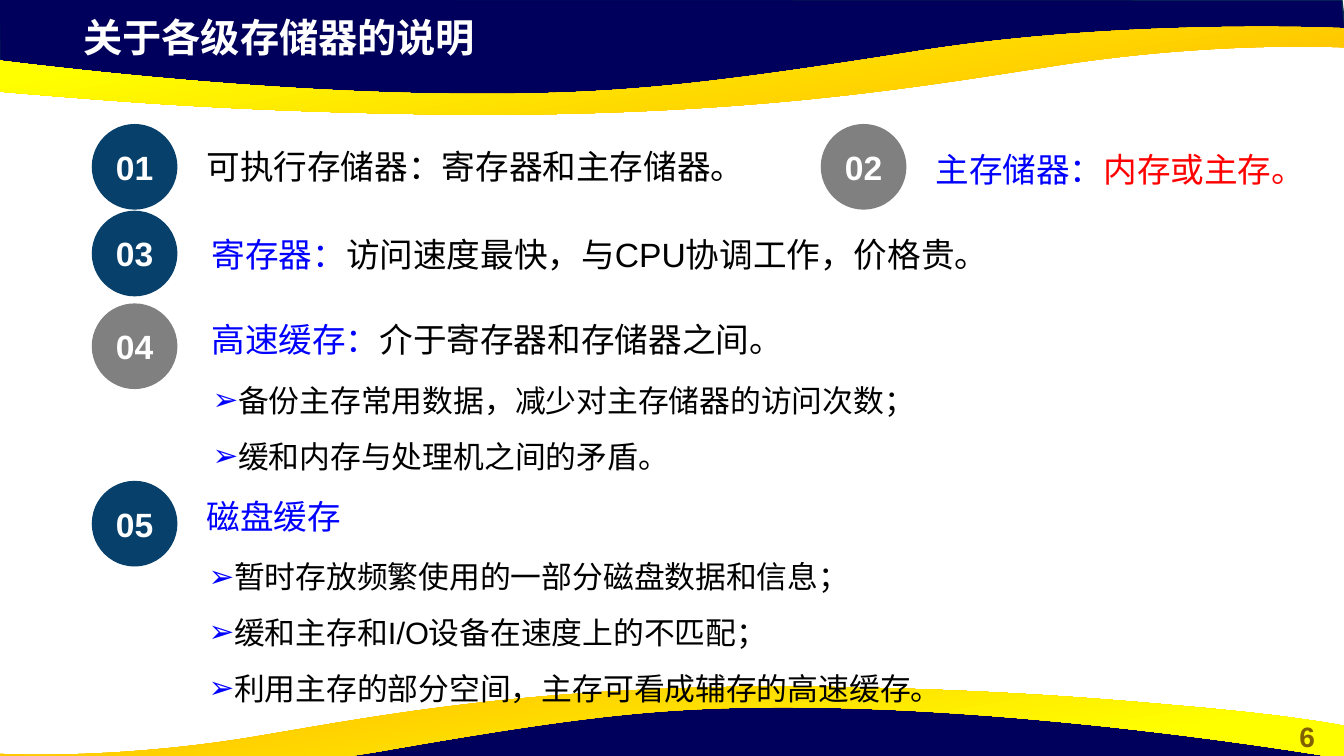
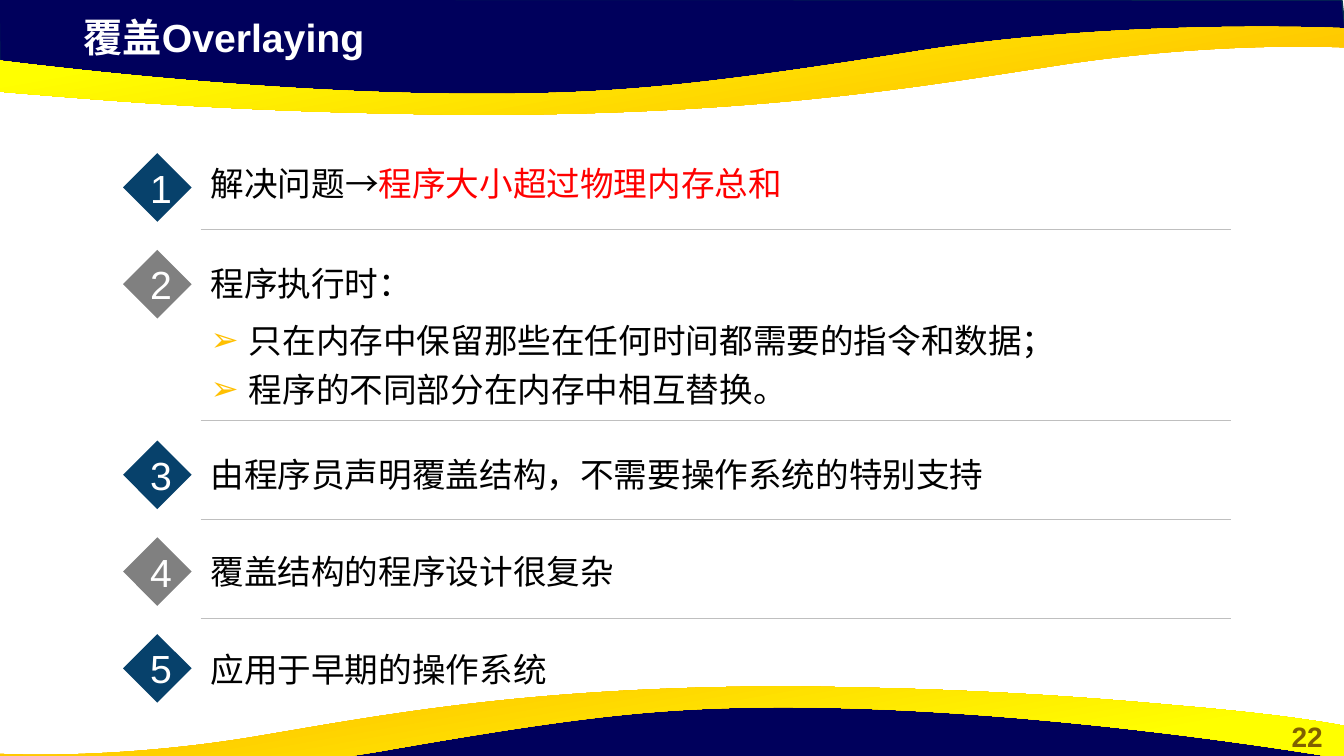
from dataclasses import dataclass

from lxml import etree
from pptx import Presentation
from pptx.dml.color import RGBColor as Rgb
from pptx.enum.shapes import MSO_CONNECTOR as Connector, MSO_SHAPE as Shape
from pptx.enum.text import MSO_ANCHOR as Anchor, MSO_AUTO_SIZE as AutoSize, PP_ALIGN as Align
from pptx.oxml.ns import qn
from pptx.util import Inches, Pt


@dataclass(frozen=True)
class Theme:
    font: str = "Arial"
    navy: str = "00005C"
    edge: str = "05304F"
    gold: str = "FFC000"
    yellow: str = "FFFF00"
    page_number: str = "806000"
    badge_dark: str = "07416B"
    badge_gray: str = "808080"
    rule: str = "BFBFBF"
    black: str = "000000"
    white: str = "FFFFFF"
    blue: str = "0000FF"
    red: str = "FF0000"
    title_size: int = 28
    body_size: int = 24
    detail_size: int = 22
    page_size: int = 20


THEME = Theme()

# Outlines in inches: a start point, then lines (2 values) and curves (6 values).
NAVY_BAND = [
    (-0.01, -0.01), (0, 0.7), (2.93, 1.02), (5.59, 1), (7.95, 0.88),
    (10.16, 0.5), (12.38, 0.33), (13.35, 0.38), (13.31, 0), (-0.01, -0.01),
]
GOLD_RIBBON = [
    (4.83, 1.14),
    (4.43, 1.14, 4.01, 1.13, 3.56, 1.12),
    (2.06, 1.08, 1.1, 1, 0.36, 0.94),
    (-0.88, 0.84, -1.3, 0.75, -1.33, 0.75),
    (-1.33, 0.42, -1.33, 0.42, -1.33, 0.42),
    (-1.33, 0.42, 2.18, 0.98, 5.17, 0.93),
    (6.26, 0.91, 7.08, 0.83, 9.15, 0.5),
    (11.21, 0.18, 13.33, 0.28, 13.33, 0.28),
    (13.33, 0.32), (13.33, 0.47), (13.3, 0.47),
    (13.05, 0.46, 11.95, 0.43, 10.55, 0.64),
    (9.18, 0.85, 7.62, 1.13, 4.83, 1.14),
]


def color(value):
    return Rgb.from_string(value)


def half_turn(outline, right, bottom, stretch=1):
    return [
        tuple(bottom - value if index % 2 else right - stretch * value
              for index, value in enumerate(segment))
        for segment in outline
    ]


def bend(shape, outline):
    """Turn the straight segments that stand for curves into cubic curves."""
    lines = list(shape._element.iter(qn("a:lnTo")))
    for line, segment in zip(lines, outline[1:]):
        if len(segment) == 2:
            continue
        curve = etree.Element(qn("a:cubicBezTo"))
        for x, y in zip(segment[::2], segment[1::2]):
            etree.SubElement(curve, qn("a:pt"), x=str(Inches(x) - shape.left),
                             y=str(Inches(y) - shape.top))
        line.getparent().replace(line, curve)


def add_outline(page, outline):
    start, *rest = [tuple(map(Inches, segment[-2:])) for segment in outline]
    builder = page.shapes.build_freeform(*start)
    builder.add_line_segments(rest, close=True)
    shape = builder.convert_to_shape()
    bend(shape, outline)
    shape.shadow.inherit = False
    return shape


def add_band(page, outline):
    band = add_outline(page, outline)
    band.fill.solid()
    band.fill.fore_color.rgb = color(THEME.navy)
    band.line.color.rgb = color(THEME.edge)
    band.line.width = Pt(1)


def add_ribbon(page, outline, angle):
    ribbon = add_outline(page, outline)
    ribbon.line.fill.background()
    ribbon.fill.gradient()
    ribbon.fill.gradient_angle = angle
    stops = ((0.11, THEME.gold), (0.78, THEME.yellow))
    for stop, (position, value) in zip(ribbon.fill.gradient_stops, stops):
        stop.position = position
        stop.color.rgb = color(value)


def add_spans(para, spans, size, bold=False):
    for text, value in spans:
        span = para.add_run()
        span.text = text
        formats = {"name": THEME.font, "size": Pt(size), "bold": bold}
        for name, setting in formats.items():
            setattr(span.font, name, setting)
        span.font.color.rgb = color(value)


def add_bullet(para, left, hanging, value):
    properties = para._p.get_or_add_pPr()
    properties.set("marL", str(Inches(left)))
    properties.set("indent", str(-Inches(hanging)))
    bullet_color = etree.SubElement(properties, qn("a:buClr"))
    etree.SubElement(bullet_color, qn("a:srgbClr"), val=value)
    etree.SubElement(properties, qn("a:buFont"), typeface=THEME.font)
    etree.SubElement(properties, qn("a:buChar"), char="➢")


def add_box(page, place, anchor=Anchor.TOP):
    box = page.shapes.add_textbox(*map(Inches, place))
    box.text_frame.word_wrap = True
    box.text_frame.vertical_anchor = anchor
    return box.text_frame


def add_text(page, place, spans, size=THEME.body_size, bold=False,
             anchor=Anchor.TOP, **para_formats):
    frame = add_box(page, place, anchor)
    para = frame.paragraphs[0]
    for name, setting in para_formats.items():
        setattr(para, name, setting)
    add_spans(para, spans, size, bold)
    return frame


def add_bullets(page, place, lines, size, bullet, spacing, gap=0, anchor=Anchor.TOP):
    """Add a bulleted list; bullet is (left indent, hanging, colour)."""
    frame = add_box(page, place, anchor)
    for index, line in enumerate(lines):
        para = frame.add_paragraph() if index else frame.paragraphs[0]
        add_bullet(para, *bullet)
        para.line_spacing = spacing
        if index and gap:
            para.space_before = Pt(gap)
        add_spans(para, [(line, THEME.black)], size)


def add_badge(page, kind, left, top, side, number, label, size, bold):
    """Add a numbered badge, dark for odd numbers and gray for even ones."""
    badge = page.shapes.add_shape(kind, *map(Inches, (left, top, side, side)))
    badge.shadow.inherit = False
    badge.fill.solid()
    badge.fill.fore_color.rgb = color(THEME.badge_dark if number % 2 else THEME.badge_gray)
    badge.line.fill.background()
    badge.text_frame.vertical_anchor = Anchor.MIDDLE
    para = badge.text_frame.paragraphs[0]
    para.alignment = Align.CENTER
    add_spans(para, [(label, THEME.white)], size, bold)


def add_rule(page, left, right, top):
    rule = page.shapes.add_connector(
        Connector.STRAIGHT, *map(Inches, (left, top, right, top)))
    rule.line.color.rgb = color(THEME.rule)
    rule.line.width = Pt(0.25)
    etree.SubElement(rule._element.spPr, qn("a:effectLst"))


def add_page(deck, title, number):
    """Add a blank slide with the shared bands, page number and title."""
    page = deck.slides.add_slide(deck.slide_layouts[6])
    add_band(page, NAVY_BAND)
    add_ribbon(page, GOLD_RIBBON, 100)
    add_band(page, half_turn(NAVY_BAND, 13.32, 7.93))
    add_ribbon(page, half_turn(GOLD_RIBBON, 12.12, 7.95, 0.91), 280)
    frames = (
        add_text(page, (12.6, 7.09, 0.73, 0.44), [(str(number), THEME.page_number)],
                 THEME.page_size, bold=True, alignment=Align.CENTER),
        add_text(page, (0.73, 0.08, 7.68, 0.57), [(title, THEME.white)],
                 THEME.title_size, bold=True),
    )
    for frame in frames:
        frame.auto_size = AutoSize.SHAPE_TO_FIT_TEXT
    return page


def add_memory_page(deck):
    page = add_page(deck, "关于各级存储器的说明", 6)
    black, blue, red = THEME.black, THEME.blue, THEME.red
    items = [
        (0.91, 1.23, (1.95, 1.27, 9.65, 0.58), 1.32,
         [("可执行存储器：寄存器和主存储器。", black)]),
        (8.14, 1.23, (9.18, 1.47, 3.93, 0.4), 0.9,
         [("主存储器：", blue), ("内存或主存。", red)]),
        (0.91, 2.09, (2, 2.32, 7.85, 0.4), 0.9,
         [("寄存器：", blue), ("访问速度最快，与CPU协调工作，价格贵。", black)]),
        (0.91, 3.01, (2, 3.16, 6.14, 0.38), 0.9,
         [("高速缓存：", blue), ("介于寄存器和存储器之间。", black)]),
        (0.91, 4.77, (1.95, 4.92, 2.5, 0.4), 0.9, [("磁盘缓存", blue)]),
    ]
    for number, (left, top, place, spacing, spans) in enumerate(items, 1):
        add_badge(page, Shape.OVAL, left, top, 0.85, number, f"{number:02}",
                  THEME.body_size, True)
        add_text(page, place, spans, line_spacing=spacing)

    details = [
        ((1.47, 5.37, 9.67, 1.76),
         ["暂时存放频繁使用的一部分磁盘数据和信息；",
          "缓和主存和I/O设备在速度上的不匹配；",
          "利用主存的部分空间，主存可看成辅存的高速缓存。"]),
        ((1.51, 3.62, 8.15, 1.15),
         ["备份主存常用数据，减少对主存储器的访问次数；",
          "缓和内存与处理机之间的矛盾。"]),
    ]
    for place, lines in details:
        add_bullets(page, place, lines, THEME.detail_size, (0.75, 0.25, blue), 1.32, gap=5)


def add_overlay_page(deck):
    page = add_page(deck, "覆盖Overlaying", 22)
    black = THEME.black
    left = 1.99
    items = [
        (1.52, 1.6, 5.98, [("解决问题→", black), ("程序大小超过物理内存总和", THEME.red)]),
        (2.48, 2.59, 5.1, [("程序执行时：", black)]),
        (4.37, 4.48, 9.03, [("由程序员声明覆盖结构，不需要操作系统的特别支持", black)]),
        (5.33, 5.44, 5.1, [("覆盖结构的程序设计很复杂", black)]),
        (6.29, 6.42, 5.1, [("应用于早期的操作系统", black)]),
    ]
    for number, (badge_top, text_top, width, spans) in enumerate(items, 1):
        add_badge(page, Shape.DIAMOND, 1.22, badge_top, 0.68, number, str(number),
                  THEME.title_size, False)
        add_text(page, (left, text_top, width, 0.47), spans, anchor=Anchor.BOTTOM)
    for top in (2.27, 4.17, 5.15, 6.13):
        add_rule(page, left, 12.21, top)
    add_bullets(page, (left, 3.22, 10.58, 0.89),
                ["只在内存中保留那些在任何时间都需要的指令和数据；",
                 "程序的不同部分在内存中相互替换。"],
                THEME.body_size, (0.38, 0.38, THEME.gold), 1.23, anchor=Anchor.BOTTOM)


def main():
    deck = Presentation()
    deck.slide_width, deck.slide_height = Inches(13.33), Inches(7.5)
    add_memory_page(deck)
    add_overlay_page(deck)
    deck.save("out.pptx")


if __name__ == "__main__":
    main()
